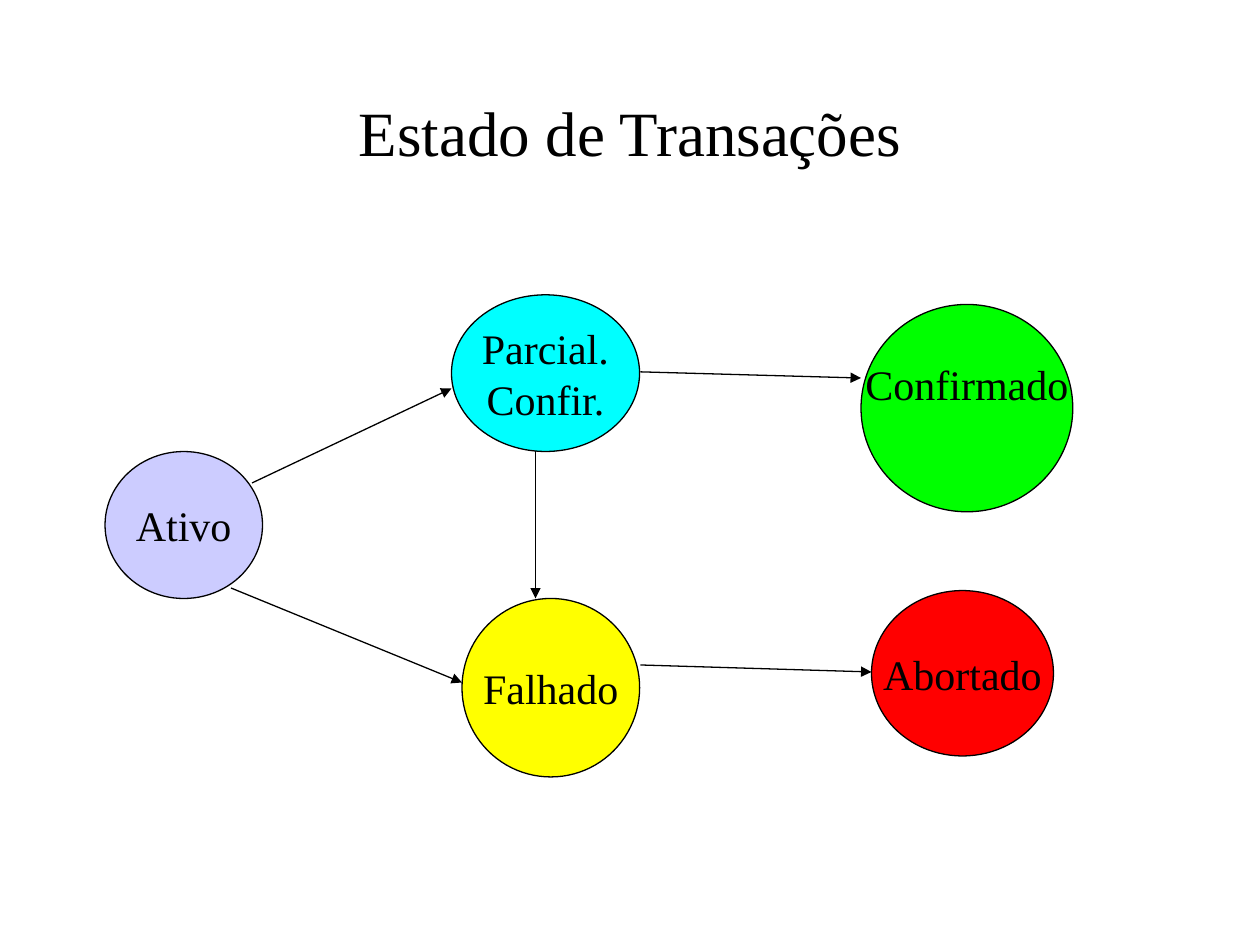
import pptx
import pptx.util
import pptx.dml.color
import pptx.enum.shapes
import pptx.enum.text
import pptx.oxml.ns
from lxml import etree

Pt = pptx.util.Pt
RGBColor = pptx.dml.color.RGBColor

BLACK = RGBColor(0x00, 0x00, 0x00)
WHITE = RGBColor(0xFF, 0xFF, 0xFF)
LAVENDER = RGBColor(0xCC, 0xCC, 0xFF)
YELLOW = RGBColor(0xFF, 0xFF, 0x00)
CYAN = RGBColor(0x00, 0xFF, 0xFF)
RED = RGBColor(0xFF, 0x00, 0x00)
GREEN = RGBColor(0x00, 0xFF, 0x00)

LINE_HEIGHT = 27.6

STATES = [
    ("Ativo", LAVENDER, (60, 258, 90, 84), 0),
    ("Falhado", YELLOW, (264, 342, 101.5, 102), 0),
    ("Parcial.\nConfir.", CYAN, (258, 168.5, 107.5, 89.5), 0),
    ("Abortado", RED, (498, 337.5, 104, 94.5), 0),
    ("Confirmado", GREEN, (492, 174, 121, 118.5), LINE_HEIGHT),
]

TRANSITIONS = [
    ((144, 276), (258, 222)),
    ((132, 336), (264, 390)),
    ((306, 258), (306, 342)),
    ((366, 212.5), (492, 216)),
    ((366, 380), (498, 384)),
]


class StateDiagram:
    font_name = "Times New Roman"
    title_size = 36
    label_size = 24
    line_width = 0.75

    def __init__(self, page):
        self.page = page
        page.background.fill.solid()
        page.background.fill.fore_color.rgb = WHITE

    def label(self, shape, text, size):
        frame = shape.text_frame
        frame.text = text
        frame.vertical_anchor = pptx.enum.text.MSO_ANCHOR.MIDDLE
        for para in frame.paragraphs:
            para.alignment = pptx.enum.text.PP_ALIGN.CENTER
            for span in para.runs:
                span.font.name = self.font_name
                span.font.size = Pt(size)
                span.font.color.rgb = BLACK
        return frame

    def outline(self, shape):
        shape.line.color.rgb = BLACK
        shape.line.width = Pt(self.line_width)

    def title(self, text, left, top, width, height):
        box = self.page.shapes.title
        box.left, box.top = Pt(left), Pt(top)
        box.width, box.height = Pt(width), Pt(height)
        self.label(box, text, self.title_size)

    def state(self, text, color, bounds, space_below):
        oval = self.page.shapes.add_shape(
            pptx.enum.shapes.MSO_SHAPE.OVAL, *map(Pt, bounds))
        oval.shadow.inherit = False
        oval.fill.solid()
        oval.fill.fore_color.rgb = color
        self.outline(oval)
        frame = self.label(oval, text, self.label_size)
        frame.word_wrap = False
        frame.margin_bottom = Pt(3.6 + space_below)

    def arrow(self, start, end):
        connector = self.page.shapes.add_connector(
            pptx.enum.shapes.MSO_CONNECTOR.STRAIGHT, *map(Pt, start + end))
        self.outline(connector)
        qualify = pptx.oxml.ns.qn
        properties = connector.element.spPr
        etree.SubElement(properties.find(qualify("a:ln")),
                         qualify("a:tailEnd"), type="triangle")
        etree.SubElement(properties, qualify("a:effectLst"))


def main():
    deck = pptx.Presentation()
    deck.slide_width, deck.slide_height = Pt(720), Pt(540)
    diagram = StateDiagram(deck.slides.add_slide(deck.slide_layouts[5]))
    diagram.title("Estado de Transações", 54, 48, 612, 54)
    for state in STATES:
        diagram.state(*state)
    for start, end in TRANSITIONS:
        diagram.arrow(start, end)
    deck.save("out.pptx")


if __name__ == "__main__":
    main()
